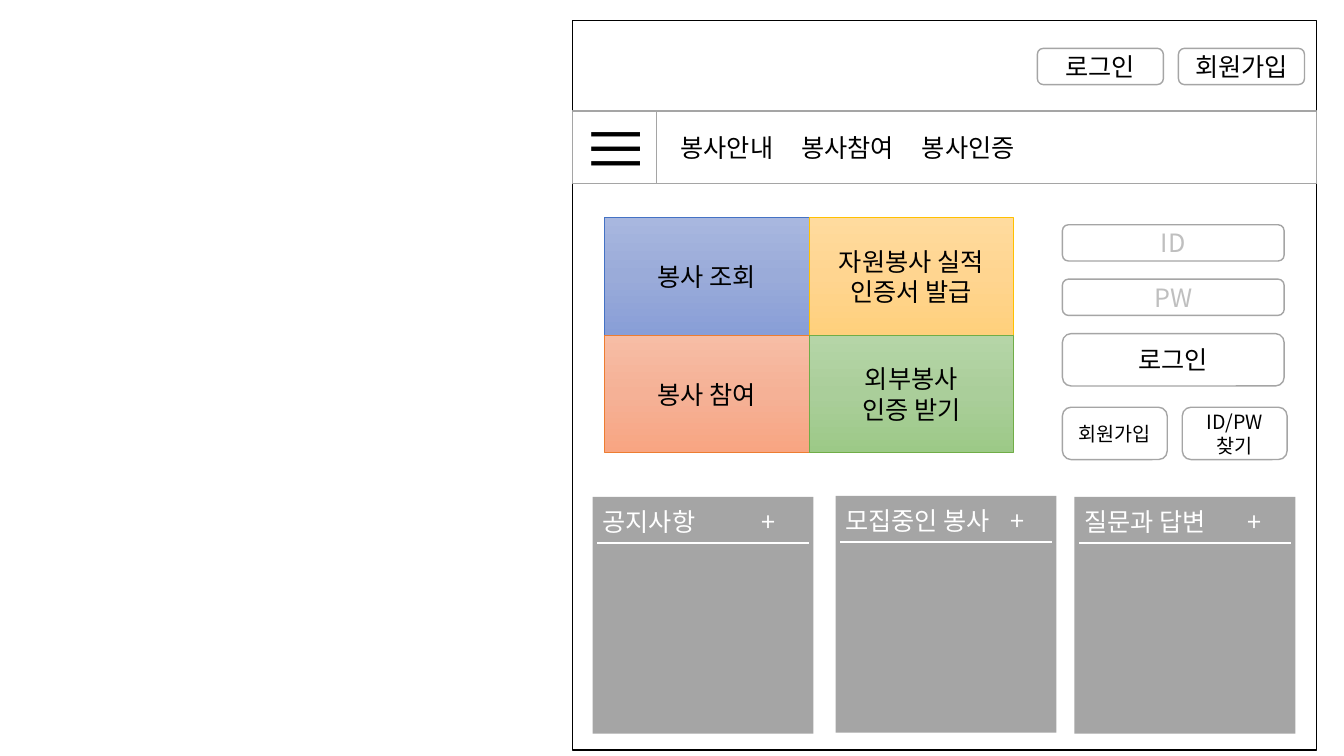
from copy import deepcopy
from dataclasses import dataclass

from lxml import etree
from pptx import Presentation
from pptx.dml.color import RGBColor
from pptx.enum.shapes import MSO_CONNECTOR, MSO_SHAPE
from pptx.enum.text import MSO_ANCHOR, PP_ALIGN
from pptx.oxml.ns import qn
from pptx.util import Inches, Pt

RECT, ROUND = MSO_SHAPE.RECTANGLE, MSO_SHAPE.ROUNDED_RECTANGLE
LINE = MSO_CONNECTOR.STRAIGHT
LEFT, CENTER = PP_ALIGN.LEFT, PP_ALIGN.CENTER
TOP, MIDDLE = MSO_ANCHOR.TOP, MSO_ANCHOR.MIDDLE
WIDE, HIGH = Inches(13.333), Inches(7.5)


@dataclass(frozen=True)
class Theme:
    font: str = "Noto Sans CJK KR"
    black: str = "000000"
    white: str = "FFFFFF"
    gray: str = "A5A5A5"
    hint: str = "BFBFBF"
    small: float = 14
    body: float = 18
    icon: float = 48


@dataclass(frozen=True)
class Box:
    """Place and size in percent of the slide's width and height."""
    x: float
    y: float
    w: float
    h: float


@dataclass(frozen=True)
class Tile:
    text: str
    stops: tuple[str, str, str]
    edge: str


@dataclass(frozen=True)
class Field:
    text: str
    box: Box
    color: str
    size: float


@dataclass(frozen=True)
class Panel:
    title: str
    x: float
    y: float
    tab: float


THEME = Theme()


def col(share: float) -> int:
    return round(WIDE * share / 100)


def row(share: float) -> int:
    return round(HIGH * share / 100)


def rgb(code: str) -> RGBColor:
    return RGBColor.from_string(code)


def draw(parent, kind, box: Box, fill: str = THEME.white,
         edge: str = THEME.gray, width: float = 1):
    shape = parent.add_shape(kind, col(box.x), row(box.y), col(box.w), row(box.h))
    shape.shadow.inherit = False
    shape.fill.solid()
    shape.fill.fore_color.rgb = rgb(fill)
    shape.line.color.rgb = rgb(edge)
    shape.line.width = Pt(width)
    return shape


def shade(shape, stops: tuple[str, str, str]) -> None:
    shape.fill.gradient()
    shape.fill.gradient_angle = 270
    ends = shape._element.spPr.find(qn("a:gradFill")).find(qn("a:gsLst"))
    ends.insert(1, deepcopy(ends[0]))
    for i, stop in enumerate(shape.fill.gradient_stops):
        stop.position = i / 2
        stop.color.rgb = rgb(stops[i])


def write(shape, text: str, size: float = THEME.body, color: str = THEME.black,
          align=CENTER, anchor=MIDDLE, tabs: tuple[float, ...] = ()) -> None:
    frame = shape.text_frame
    frame.word_wrap = True
    frame.vertical_anchor = anchor
    for i, part in enumerate(text.split("\n")):
        para = frame.add_paragraph() if i else frame.paragraphs[0]
        para.alignment = align
        if tabs:
            stops = etree.SubElement(para._p.get_or_add_pPr(), qn("a:tabLst"))
            for tab in tabs:
                etree.SubElement(stops, qn("a:tab"), pos=str(col(tab)), algn="l")
        run = para.add_run()
        run.text = part
        run.font.size = Pt(size)
        run.font.color.rgb = rgb(color)
        run.font.name = THEME.font
        etree.SubElement(run._r.get_or_add_rPr(), qn("a:ea"), typeface=THEME.font)


def rule(parent, x: float, y: float, w: float) -> None:
    line = parent.add_connector(LINE, col(x), row(y), col(x + w), row(y))
    line.line.color.rgb = rgb(THEME.white)
    line.line.width = Pt(1.5)
    etree.SubElement(line._element.spPr, qn("a:effectLst"))


PAGE = Box(42.6, 2.67, 55.35, 96.53)
MENU = Box(PAGE.x, 14.67, 6.23, 9.6)
GRID = Box(45, 28.8, 15.2, 15.55)
FORM = Box(79.05, 29.73, 16.5, 4.8)
STEP = 7.2

TILES = (
    Tile("봉사 조회", ("A8B7DF", "9AABD9", "889ED7"), "4472C4"),
    Tile("자원봉사 실적\n인증서 발급", ("FFDB9E", "FFD590", "FFD07C"), "FFC000"),
    Tile("봉사 참여", ("F7BDA5", "F5B196", "F8A582"), "ED7D31"),
    Tile("외부봉사\n인증 받기", ("B5D5A7", "AACE9A", "9CC987"), "70AD47"),
)
FIELDS = (
    Field("로그인", Box(77.18, 6.4, 9.38, 4.8), THEME.black, THEME.body),
    Field("회원가입", Box(87.68, 6.4, 9.38, 4.8), THEME.black, THEME.body),
    Field("ID", FORM, THEME.hint, THEME.body),
    Field("PW", Box(FORM.x, FORM.y + STEP, FORM.w, FORM.h), THEME.hint, THEME.body),
    Field("로그인", Box(FORM.x, FORM.y + 2 * STEP, FORM.w, 6.93),
          THEME.black, THEME.body),
    Field("회원가입", Box(FORM.x, 53.87, 7.8, 6.93), THEME.black, THEME.small),
    Field("ID/PW\n찾기", Box(87.97, 53.87, 7.8, 6.93), THEME.black, THEME.small),
)
PANELS = (
    Panel("공지사항", 44.1, 65.73, 11.85),
    Panel("질문과 답변", 79.95, 65.73, 12.1),
    Panel("모집중인 봉사", 62.17, 65.6, 12.25),
)


def main() -> None:
    deck = Presentation()
    deck.slide_width, deck.slide_height = WIDE, HIGH
    shapes = deck.slides.add_slide(deck.slide_layouts[6]).shapes

    # Page frame
    draw(shapes, RECT, PAGE, edge=THEME.black)

    # Menu bar
    bar = shapes.add_group_shape().shapes
    links = draw(bar, RECT, Box(MENU.x + MENU.w, MENU.y, PAGE.w - MENU.w, MENU.h))
    links.text_frame.margin_left = col(1.8)
    write(links, "봉사안내\t봉사참여\t봉사인증", align=LEFT, tabs=(8.98, 17.96))
    write(draw(bar, RECT, MENU), "≡", THEME.icon)

    # Coloured tiles, two by two
    for i, tile in enumerate(TILES):
        down, over = divmod(i, 2)
        box = Box(GRID.x + over * GRID.w, GRID.y + down * GRID.h, GRID.w, GRID.h)
        shape = draw(shapes, RECT, box, edge=tile.edge, width=0.5)
        shade(shape, tile.stops)
        write(shape, tile.text)

    # Buttons and login form
    for field in FIELDS:
        write(draw(shapes, ROUND, field.box), field.text, field.size, field.color)

    # Board panels
    for panel in PANELS:
        group = shapes.add_group_shape().shapes
        board = draw(group, RECT, Box(panel.x, panel.y, 16.43, 31.33), THEME.gray)
        board.line.fill.background()
        board.text_frame.margin_top = row(1.2)
        write(board, f"{panel.title}\t+", color=THEME.white, align=LEFT,
              anchor=TOP, tabs=(panel.tab,))
        rule(group, panel.x + 0.35, panel.y + 6.13, 15.75)

    deck.save("out.pptx")


if __name__ == "__main__":
    main()
